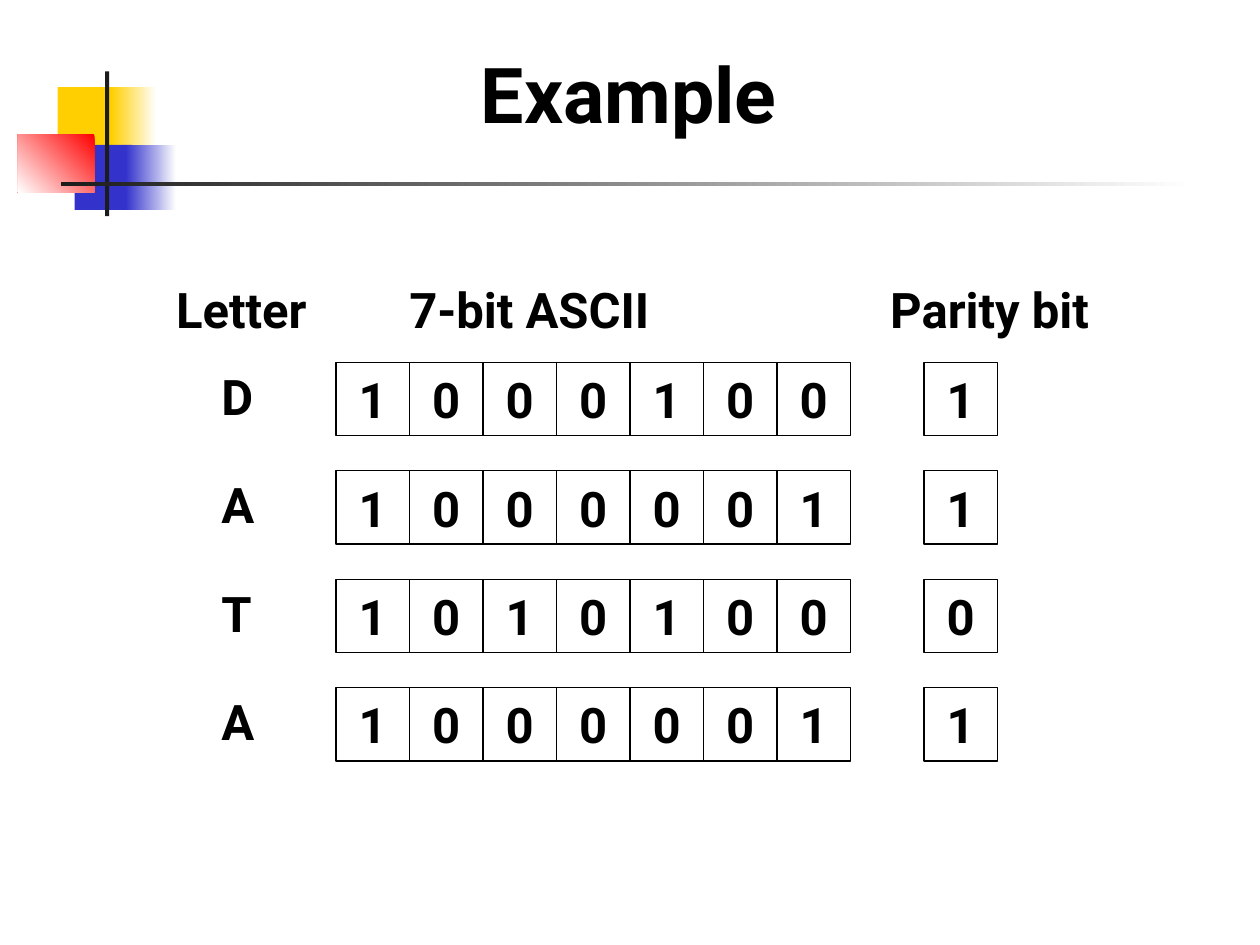
import pptx
import pptx.dml.color
import pptx.enum.shapes
import pptx.enum.text
import pptx.util

ALIGN = pptx.enum.text.PP_ALIGN
ANCHOR = pptx.enum.text.MSO_ANCHOR
AUTO_SIZE = pptx.enum.text.MSO_AUTO_SIZE
RECTANGLE = pptx.enum.shapes.MSO_SHAPE.RECTANGLE


def color(hex_string):
    return pptx.dml.color.RGBColor.from_string(hex_string)


class SlideBuilder:
    """Style and current slide; lengths are grid units of 1/12 inch."""

    columns, rows = 120, 90
    font_name = "Roboto"
    title_size, text_size = 44, 28
    ink = "000000"

    def __init__(self, presentation):
        presentation.slide_width = self.length(self.columns)
        presentation.slide_height = self.length(self.rows)
        self.slide = presentation.slides.add_slide(presentation.slide_layouts[5])
        self.shapes = self.slide.shapes

    @staticmethod
    def length(units):
        return pptx.util.Inches(units / 12)

    def box(self, *units):
        return [self.length(unit) for unit in units]

    def start_group(self):
        self.shapes = self.slide.shapes.add_group_shape().shapes

    def set_text(self, shape, text, size, alignment):
        paragraph = shape.text_frame.paragraphs[0]
        paragraph.text = text
        paragraph.alignment = alignment
        font = paragraph.font
        font.name, font.size, font.bold = self.font_name, pptx.util.Pt(size), True
        font.color.rgb = color(self.ink)

    def title(self, text, *units):
        shape = self.slide.shapes.title
        shape.left, shape.top, shape.width, shape.height = self.box(*units)
        frame = shape.text_frame
        frame.margin_left = frame.margin_right = 0
        frame.margin_top = frame.margin_bottom = 0
        frame.vertical_anchor = ANCHOR.BOTTOM
        frame.auto_size = AUTO_SIZE.SHAPE_TO_FIT_TEXT
        self.set_text(shape, text, self.title_size, ALIGN.CENTER)

    def rectangle(self, *units):
        shape = self.shapes.add_shape(RECTANGLE, *self.box(*units))
        shape.shadow.inherit = False
        return shape

    def solid(self, fill, *units):
        shape = self.rectangle(*units)
        shape.fill.solid()
        shape.fill.fore_color.rgb = color(fill)
        shape.line.fill.background()

    def fade(self, fill, *units, angle=0):
        shape = self.rectangle(*units)
        shape.fill.gradient()
        shape.fill.gradient_angle = angle
        for stop, stop_color in zip(shape.fill.gradient_stops, (fill, "FFFFFF")):
            stop.color.rgb = color(stop_color)
        shape.line.fill.background()

    def bit(self, text, left, top, side):
        shape = self.rectangle(left, top, side, side)
        shape.fill.background()
        shape.line.color.rgb = color(self.ink)
        shape.line.width = pptx.util.Pt(0.75)
        shape.text_frame.word_wrap = False
        shape.text_frame.vertical_anchor = ANCHOR.MIDDLE
        self.set_text(shape, text, self.text_size, ALIGN.CENTER)

    def label(self, text, left, top, width, height=6.8):
        shape = self.shapes.add_textbox(*self.box(left, top, width, height))
        shape.text_frame.word_wrap = False
        shape.text_frame.auto_size = AUTO_SIZE.SHAPE_TO_FIT_TEXT
        self.set_text(shape, text, self.text_size, ALIGN.LEFT)


def main():
    presentation = pptx.Presentation()
    builder = SlideBuilder(presentation)

    # Corner ornament and title rule
    builder.solid("FFCF01", 5.5, 8.3, 5.8, 6.2)
    builder.fade("FFCF01", 10.6, 8.3, 4.3, 6.2)
    builder.solid("3333CC", 7.1, 13.8, 5.5, 6.2)
    builder.fade("3333CC", 12, 13.8, 4.8, 6.2)
    builder.fade("FF0000", 1.7, 12.8, 7.3, 5.5, angle=225)
    builder.solid("1C1C1C", 10, 6.8, 0.4, 13.8)
    builder.fade("1C1C1C", 5.8, 17.3, 108, 0.4)

    builder.title("Example", 5, 4.4, 109.8, 8.8)

    # One row per letter: seven data bits, a gap one cell wide, the parity bit
    cell, first_left, first_top, row_pitch = 7, 32, 34.5, 10.33
    codes = [("D", "1000100"), ("A", "1000001"), ("T", "1010100"), ("A", "1000001")]
    parity_bits = "1101"
    for row, ((letter, code), parity) in enumerate(zip(codes, parity_bits)):
        top = first_top + row * row_pitch
        builder.start_group()
        for column, digit in enumerate(code):
            builder.bit(digit, first_left + column * cell, top, cell)
        builder.bit(parity, first_left + (len(code) + 1) * cell, top, cell)
        builder.label(letter, 19.9, top - 0.2, 5.6)

    # Column headings
    builder.start_group()
    for heading, left, width in [
        ("Letter", 15.6, 16.7),
        ("7-bit ASCII", 37.8, 26.5),
        ("Parity bit", 83.6, 23.9),
    ]:
        builder.label(heading, left, 26, width)

    presentation.save("out.pptx")


if __name__ == "__main__":
    main()
